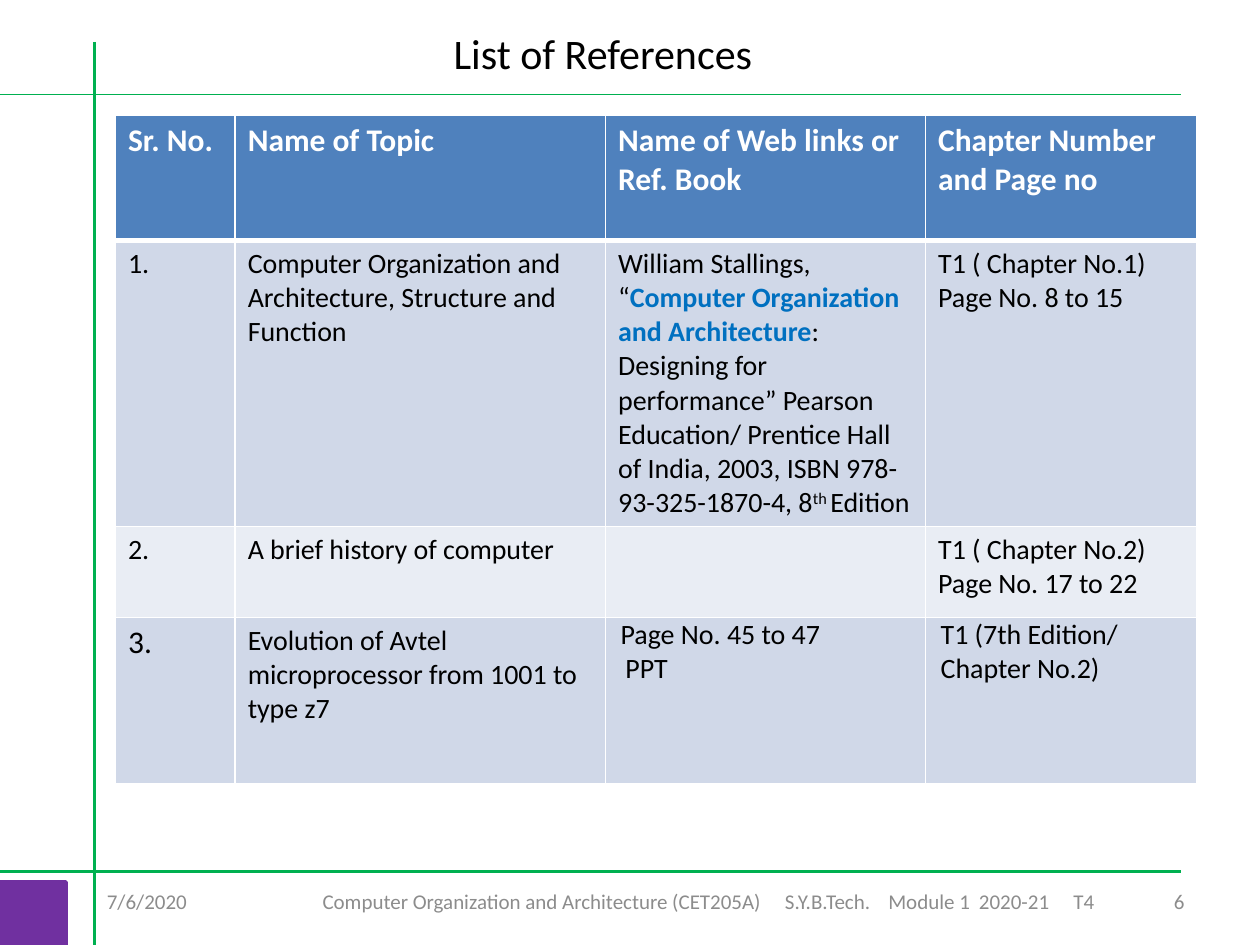
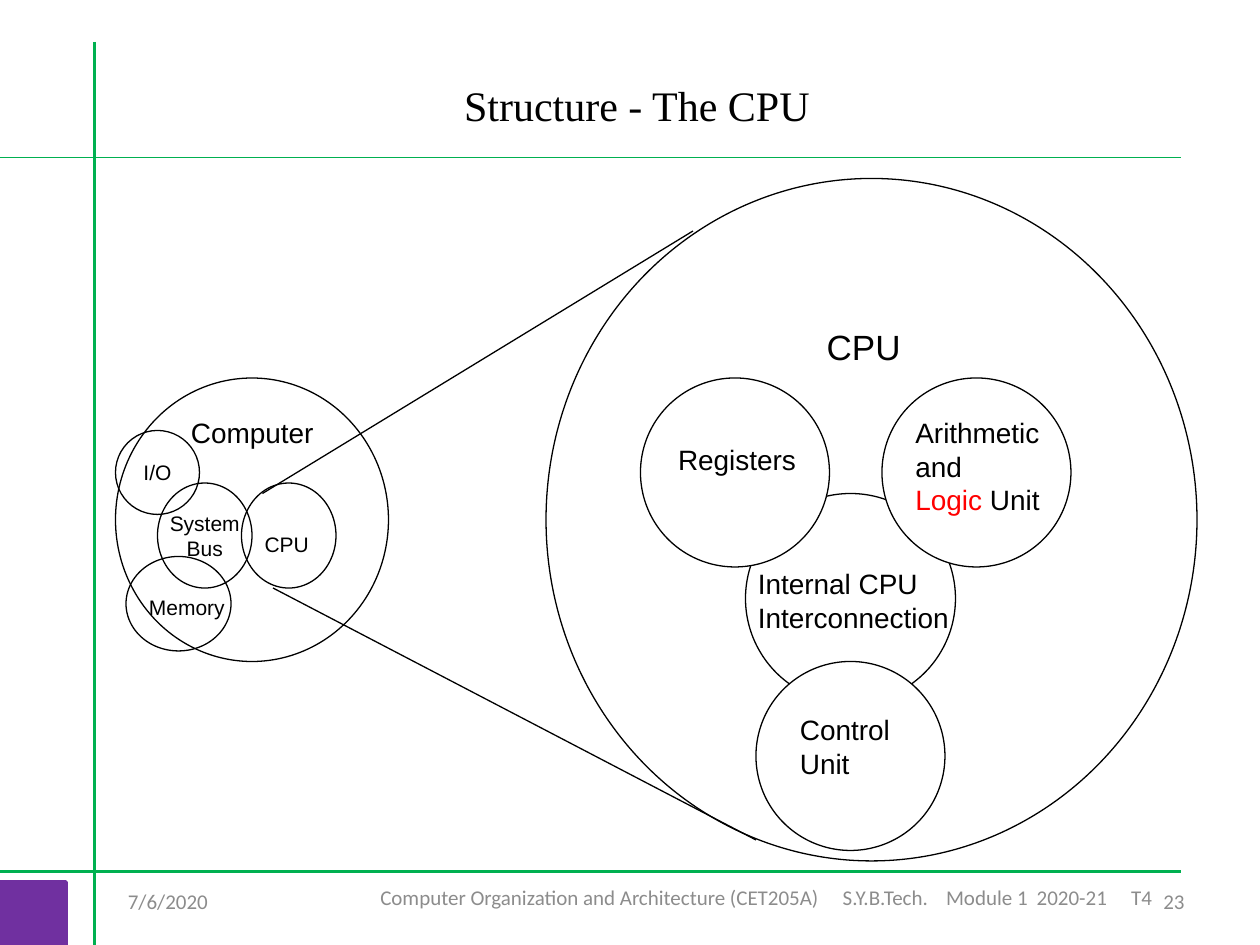
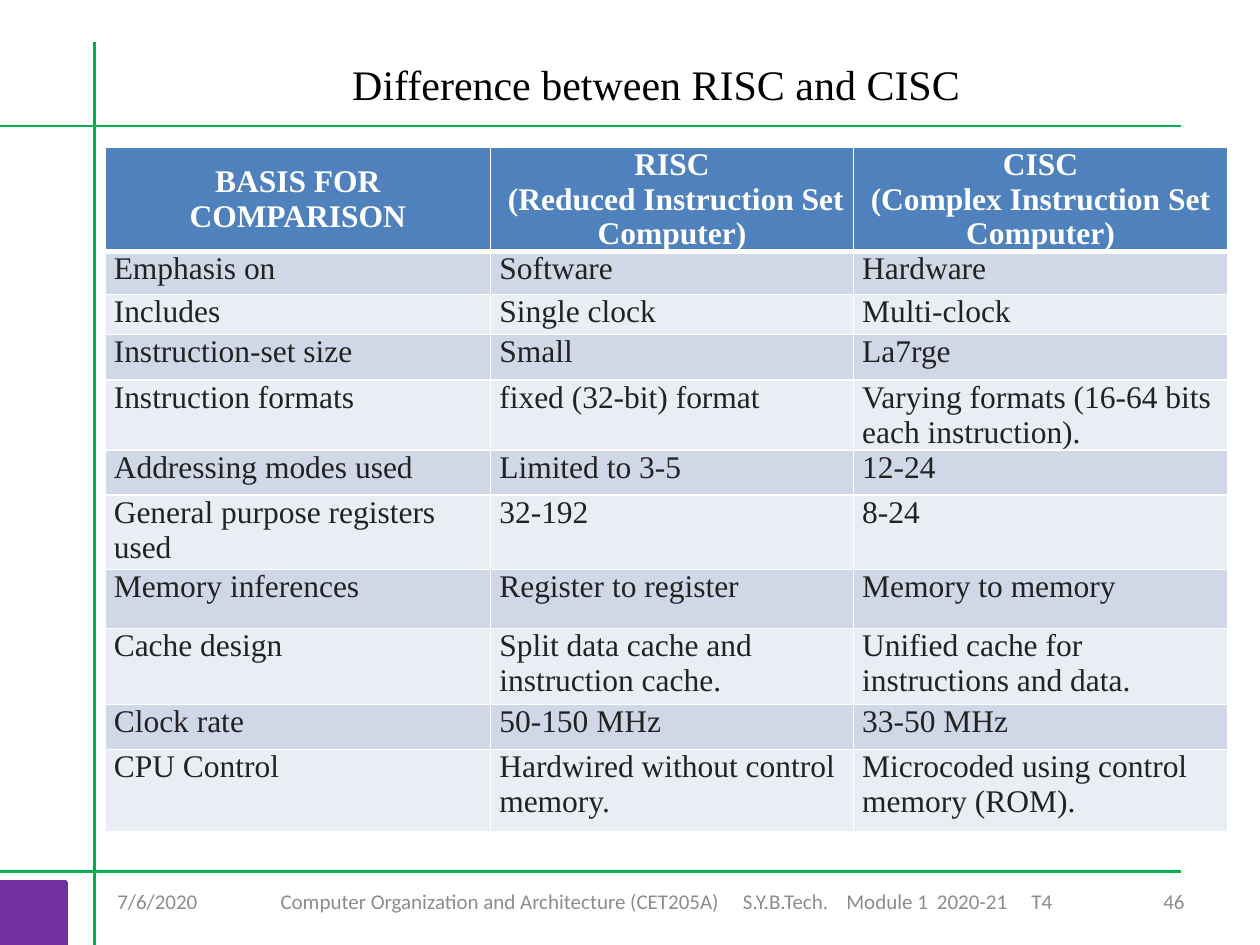
from lxml.etree import SubElement as Sub
from pptx import Presentation
from pptx.dml.color import RGBColor as Rgb
from pptx.enum.shapes import MSO_CONNECTOR as Link, MSO_SHAPE as Form
from pptx.enum.text import MSO_ANCHOR as Anchor, MSO_AUTO_SIZE as Fit, PP_ALIGN as Align
from pptx.oxml.ns import qn
from pptx.util import Inches, Pt

HUE = {
    "black": "000000", "white": "FFFFFF", "gray": "8C8C8C", "ink": "222222",
    "green": "00B050", "purple": "7030A0", "red": "FF0000", "link": "0070C0",
    "head": "4F81BD", "odd": "D0D8E8", "even": "E9EDF4", "dark": "000009",
}
SANS, SERIF, PLAIN = "Calibri", "Times New Roman", "Arial"
UNIT = Inches(10) / 120
FOOT = "\t".join([
    "Computer Organization and Architecture (CET205A)", "S.Y.B.Tech.",
    "Module 1", "2020-21", "T4",
])
TABS = [3.67, 4.49, 5.21, 5.96]
FOOT_LEN = 6.13


def span(*cells):
    return [round(cell * UNIT) for cell in cells]


def write(frame, lines, size, face, hue="black", align=Align.LEFT, anchor=None, bold=False):
    frame.auto_size = Fit.NONE
    if anchor is not None:
        frame.vertical_anchor = anchor
    for n, line in enumerate(lines):
        para = frame.paragraphs[0] if n == 0 else frame.add_paragraph()
        para.alignment = align
        font = para.font
        font.size, font.name, font.bold = Pt(size), face, bold
        font.color.rgb = Rgb.from_string(HUE[hue])
        for text, kind in [(line, "")] if isinstance(line, str) else line:
            run = para.add_run()
            run.text = text
            if kind in HUE:
                run.font.color.rgb = Rgb.from_string(HUE[kind])
            if kind == "link":
                run.font.bold = True
            if kind == "sup":
                run._r.get_or_add_rPr().set("baseline", "30000")
            if kind == "dark":
                run.font.size, run.font.name = Pt(11), SERIF


deck = Presentation()
deck.slide_width, deck.slide_height = span(120, 90)

heads = [
    ("List of References", SANS, (42, 2, 32, 6), Align.LEFT, 9, (27, 83.4, 81), 9, "6"),
    ("Structure - The CPU", SERIF, (43, 7, 35.6, 6), Align.LEFT, 15, (32, 83, 82), 11, "23"),
    ("Difference between RISC and CISC", SERIF, (11, 5, 103, 6), Align.CENTER, 12,
     (23, 83.4, 81), 10, "46"),
]
slides, rules = [], []
for name, face, place, align, row, (left, top, wide), start, page in heads:
    slide = deck.slides.add_slide(deck.slide_layouts[5])
    slides.append(slide)
    title = slide.shapes.title
    title.left, title.top, title.width, title.height = span(*place)
    write(title.text_frame, [name], 24, face, align=align, anchor=Anchor.TOP)

    block = slide.shapes.add_shape(Form.RECTANGLE, *span(0, 84, 6.3, 6))
    block.shadow.inherit = False
    block.fill.solid()
    block.fill.fore_color.rgb = block.line.color.rgb = Rgb.from_string(HUE["purple"])
    block.line.width = Pt(2)

    for text, spot, side in [
        ("7/6/2020", (start, 83.4, 34 - start, 4.8), Align.LEFT),
        (FOOT, (left, top, wide, 4.8), Align.LEFT),
        (page, (86, 83.4, 28, 4.8), Align.RIGHT),
    ]:
        frame = slide.shapes.add_textbox(*span(*spot)).text_frame
        frame.word_wrap = True
        if text == FOOT:
            frame.margin_left = Inches((wide / 12 - FOOT_LEN) / 2)
            stops = Sub(frame.paragraphs[0]._p.get_or_add_pPr(), qn("a:tabLst"))
            for stop in TABS:
                Sub(stops, qn("a:tab"), pos=str(Inches(stop)), algn="l")
        write(frame, [text], 12, SANS, "gray", side, Anchor.MIDDLE)

    rules += [
        (slide, (0, row, 112.5, row), "green", 0.75),
        (slide, (0, 83, 112.5, 83), "green", 1.25),
        (slide, (9, 4, 9, 90), "green", 1.25),
    ]

refs = [
    [["Sr. No."], ["Name of Topic"], ["Name of Web links or Ref. Book"],
     ["Chapter Number and Page no"]],
    [["1."], ["Computer Organization and Architecture, Structure and Function"],
     [[("William Stallings, “", ""), ("Computer Organization and Architecture", "link"),
       (": Designing for performance” Pearson Education/ Prentice Hall of India, 2003, "
        "ISBN 978-93-325-1870-4, 8", ""), ("th ", "sup"), ("Edition", "")]],
     ["T1 ( Chapter No.1)", "Page No. 8 to 15"]],
    [["2."], ["A brief history of computer"], [],
     ["T1 ( Chapter No.2)", "Page No. 17 to 22"]],
    [["3."], ["Evolution of Avtel microprocessor from 1001 to type z7"],
     ["Page No. 45 to 47", [(" ", "dark"), ("PPT", "")]],
     ["T1 (7th Edition/ Chapter No.2)"]],
]
kinds = [
    [["BASIS FOR COMPARISON"], ["RISC", " (Reduced Instruction Set Computer)"],
     ["CISC", "(Complex Instruction Set Computer)"]],
    [["Emphasis on"], ["Software"], ["Hardware"]],
    [["Includes"], ["Single clock"], ["Multi-clock"]],
    [["Instruction-set size"], ["Small"], ["La7rge"]],
    [["Instruction formats"], ["fixed (32-bit) format"],
     ["Varying formats (16-64 bits each instruction)."]],
    [["Addressing modes used"], ["Limited to 3-5"], ["12-24"]],
    [["General purpose registers used"], ["32-192"], ["8-24"]],
    [["Memory inferences"], ["Register to register"], ["Memory to memory"]],
    [["Cache design"], ["Split data cache and instruction cache."],
     ["Unified cache for instructions and data."]],
    [["Clock rate"], ["50-150 MHz"], ["33-50 MHz"]],
    [["CPU Control"], ["Hardwired without control memory."],
     ["Microcoded using control memory (ROM)."]],
]
tables = [
    (slides[0], refs, (11, 11), [0.95, 2.94, 2.54, 2.15], [0.99, 2.23, 0.72, 1.32],
     SANS, 16, "black", Align.LEFT, Anchor.TOP, (0.1, 0.05)),
    (slides[2], kinds, (10, 14), [3.06, 2.88, 2.97],
     [0.75, 0.34, 0.32, 0.36, 0.55, 0.36, 0.59, 0.47, 0.6, 0.36, 0.65],
     SERIF, 18, "ink", Align.CENTER, Anchor.MIDDLE, (0.07, 0)),
]
for slide, data, spot, cols, rows, face, size, hue, align, anchor, pad in tables:
    table = slide.shapes.add_table(
        len(rows), len(cols), *span(*spot), Inches(sum(cols)), Inches(sum(rows))).table
    for col, wide in zip(table.columns, cols):
        col.width = Inches(wide)
    for r, (row, high) in enumerate(zip(data, rows)):
        table.rows[r].height = Inches(high)
        top = r == 0
        for c, lines in enumerate(row):
            cell = table.cell(r, c)
            side, edge = (0.12, 0) if data is refs and r == 3 and c > 1 else pad
            cell.margin_left = cell.margin_right = Inches(side)
            cell.margin_top = cell.margin_bottom = Inches(edge)
            cell.vertical_anchor = anchor if top else Anchor.TOP
            for tag in ("lnL", "lnR", "lnT", "lnB"):
                thick = (r, tag) in [(0, "lnB"), (1, "lnT")]
                line = Sub(cell._tc.get_or_add_tcPr(), qn("a:" + tag), w=str(Pt(3 if thick else 1)))
                Sub(Sub(line, qn("a:solidFill")), qn("a:srgbClr"), val=HUE["white"])
            cell.fill.solid()
            tint = "head" if top else "odd" if r % 2 else "even"
            cell.fill.fore_color.rgb = Rgb.from_string(HUE[tint])
            big = top or lines == ["3."]
            write(cell.text_frame, lines, 18 if big else size, face,
                  "white" if top else hue, align if top else Align.LEFT, bold=top)

chip = slides[1]
rings = [
    ((52, 17, 62, 65), True, []),
    ((71, 47, 20, 20), True, []),
    ((61, 36, 18, 18), True, []),
    ((11, 36, 26, 27), False, []),
    ((84, 36, 18, 18), True, []),
    ((72, 63, 18, 18), True, []),
    ((23, 46, 9, 10), False, []),
    ((11, 41, 8, 8), False, ["I/O"]),
    ((12, 53, 10, 9), False, []),
    ((15, 46, 9, 10), False, []),
]
for place, solid, lines in rings:
    ring = chip.shapes.add_shape(Form.OVAL, *span(*place))
    ring.shadow.inherit = False
    if solid:
        ring.fill.solid()
        ring.fill.fore_color.rgb = Rgb.from_string(HUE["white"])
    else:
        ring.fill.background()
    ring.line.color.rgb = Rgb.from_string(HUE["black"])
    ring.line.width = Pt(0.75)
    ring.text_frame.word_wrap = False
    write(ring.text_frame, lines, 12, PLAIN, align=Align.CENTER, anchor=Anchor.MIDDLE)

labels = [
    (["Computer"], (17, 39, 14, 4.4), 16),
    (["Arithmetic", "and", [("Logic", "red"), (" Unit", "")]], (86, 39, 14.3, 10.8), 16),
    (["Control", "Unit"], (75, 67.3, 10.9, 7.7), 16),
    (["Internal CPU", "Interconnection"], (71, 53.4, 20.6, 7.7), 16),
    (["Registers"], (63.4, 41.6, 13.7, 4.4), 16),
    (["CPU"], (24, 50, 6.6, 3.6), 12),
    (["Memory"], (13, 56, 9.6, 3.6), 12),
    (["System", "Bus"], (15, 48, 9, 6), 12),
    (["CPU"], (77.5, 30.4, 9.5, 5.2), 20),
]
for lines, place, size in labels:
    frame = chip.shapes.add_textbox(*span(*place)).text_frame
    frame.word_wrap = False
    left = size == 16
    write(frame, lines, size, PLAIN, align=Align.LEFT if left else Align.CENTER,
          anchor=Anchor.TOP if left else Anchor.MIDDLE)

rules += [
    (chip, (25, 47, 66, 22), "black", 0.75),
    (chip, (26, 56, 72, 80), "black", 0.75),
]
for slide, ends, hue, wide in rules:
    line = slide.shapes.add_connector(Link.STRAIGHT, *span(*ends))
    line.line.color.rgb = Rgb.from_string(HUE[hue])
    line.line.width = Pt(wide)
    Sub(line._element.spPr, qn("a:effectLst"))

deck.save("out.pptx")
